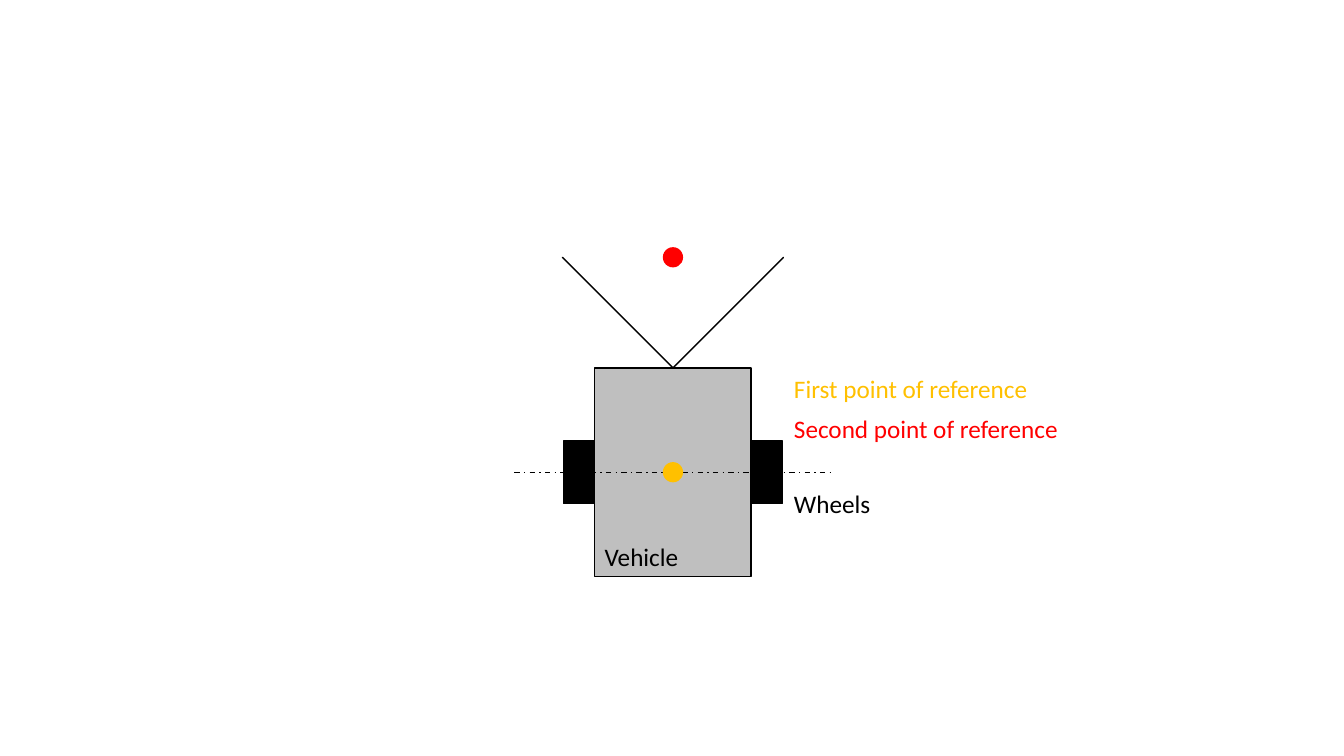
from dataclasses import dataclass
from math import sqrt

from lxml.etree import SubElement
from pptx import Presentation
from pptx.dml.color import RGBColor
from pptx.enum.dml import MSO_LINE
from pptx.enum.shapes import MSO_CONNECTOR, MSO_SHAPE
from pptx.enum.text import MSO_AUTO_SIZE
from pptx.oxml.ns import qn
from pptx.util import Cm, Pt


@dataclass(frozen=True)
class Theme:
    """Colours and type of the slide."""
    ink: RGBColor = RGBColor(0, 0, 0)
    body: RGBColor = RGBColor(0xBF, 0xBF, 0xBF)
    first: RGBColor = RGBColor(0xFF, 0xC0, 0)
    second: RGBColor = RGBColor(0xFF, 0, 0)
    font: str = "Calibri"
    size: int = 18
    stroke: int = 1


@dataclass(frozen=True)
class Box:
    """A rectangle in centimetres."""
    left: float
    top: float
    width: float
    height: float

    @property
    def center(self):
        """Return the middle point."""
        return self.left + self.width / 2, self.top + self.height / 2

    def lengths(self):
        """Return the four lengths for a shape."""
        return Cm(self.left), Cm(self.top), Cm(self.width), Cm(self.height)


THEME = Theme()
LABEL_HEIGHT = 1.02
DOT = 0.51


def add_text(slide, text, box, color=THEME.ink, size=THEME.size, font=THEME.font):
    """Add a one-line label."""
    frame = slide.shapes.add_textbox(*box.lengths()).text_frame
    frame.word_wrap = False
    frame.auto_size = MSO_AUTO_SIZE.SHAPE_TO_FIT_TEXT
    run = frame.paragraphs[0].add_run()
    run.text = text
    run.font.name, run.font.size = font, Pt(size)
    run.font.color.rgb = color


def add_figure(slide, kind, box, fill=None, line=None):
    """Add a preset shape, with fill and outline only where given."""
    shape = slide.shapes.add_shape(kind, *box.lengths())
    shape.shadow.inherit = False
    if fill is None:
        shape.fill.background()
    else:
        shape.fill.solid()
        shape.fill.fore_color.rgb = fill
    if line is None:
        shape.line.fill.background()
    else:
        shape.line.color.rgb = line
        shape.line.width = Pt(THEME.stroke)
    return shape


def add_dot(slide, x, y, color):
    """Mark a point of reference."""
    box = Box(x - DOT / 2, y - DOT / 2, DOT, DOT)
    add_figure(slide, MSO_SHAPE.OVAL, box, fill=color)


def add_axle(slide, x, y, length):
    """Add the dash-dotted wheel axis centred on a point."""
    axle = slide.shapes.add_connector(
        MSO_CONNECTOR.STRAIGHT, Cm(x - length / 2), Cm(y), Cm(x + length / 2), Cm(y))
    axle.line.color.rgb = THEME.ink
    axle.line.width = Pt(THEME.stroke)
    axle.line.dash_style = MSO_LINE.DASH_DOT
    SubElement(axle.element.spPr, qn("a:effectLst"))


def add_view(slide, box):
    """Add the view angle that opens from the front of the vehicle."""
    side = box.width
    reach = side / sqrt(2)
    x, y = box.center[0], box.top - reach
    angle = add_figure(slide, MSO_SHAPE.CORNER,
                       Box(x - side / 2, y - side / 2, side, side), line=THEME.ink)
    angle.adjustments[0] = angle.adjustments[1] = 0
    angle.rotation = 315
    add_dot(slide, x, y, THEME.second)


def add_vehicle(slide, box):
    """Add the body, wheels, axle and first point of reference."""
    x, y = box.center
    add_figure(slide, MSO_SHAPE.RECTANGLE, box, THEME.body, THEME.ink)
    width, height = 0.79, 1.58
    for left in (box.left - width, box.left + box.width):
        wheel = Box(left, y - height / 2, width, height)
        add_figure(slide, MSO_SHAPE.RECTANGLE, wheel, THEME.ink, THEME.ink)
    add_axle(slide, x, y, 8)
    label_top = box.top + box.height - LABEL_HEIGHT
    add_text(slide, "Vehicle", Box(box.left, label_top, 2.39, LABEL_HEIGHT))
    add_dot(slide, x, y, THEME.first)


def add_labels(slide, box):
    """Add the labels to the right of the vehicle."""
    left = box.left + box.width + 0.83
    labels = (("First point of reference", 0, 6.45, THEME.first),
              ("Second point of reference", LABEL_HEIGHT, 7.24, THEME.second),
              ("Wheels", 2.9, 2.46, THEME.ink))
    for text, drop, width, color in labels:
        add_text(slide, text, Box(left, box.top + drop, width, LABEL_HEIGHT), color=color)


presentation = Presentation()
presentation.slide_width, presentation.slide_height = Cm(33.87), Cm(19.05)
slide = presentation.slides.add_slide(presentation.slide_layouts[6])
vehicle = Box(14.99, 9.27, 3.94, 5.26)
add_vehicle(slide, vehicle)
add_view(slide, vehicle)
add_labels(slide, vehicle)
presentation.save("out.pptx")
